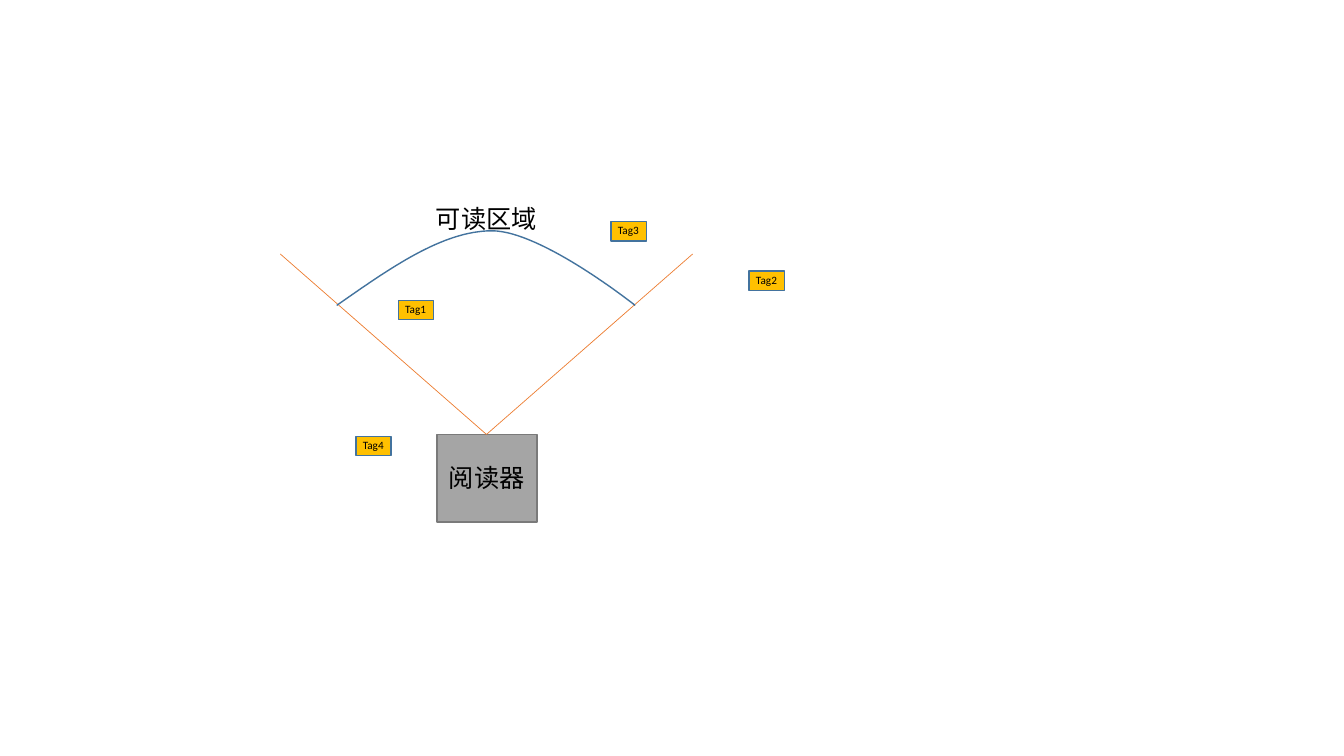
import pptx
import pptx.dml.color
import pptx.enum.shapes
import pptx.enum.text
import pptx.util
from lxml import etree

Inches = pptx.util.Inches
COLOURS = {
    "reader": "A5A5A5", "reader_edge": "7A7A7A", "beam": "ED7D31",
    "outline": "43739E", "tag": "FFC000", "text": "000000",
}
TAGS = {"Tag2": (7.43, 2.69), "Tag4": (3.53, 4.33), "Tag1": (3.95, 2.98), "Tag3": (6.06, 2.2)}


def rgb(name):
    return pptx.dml.color.RGBColor.from_string(COLOURS[name])


def set_line(item, colour, width):
    item.line.color.rgb = rgb(colour)
    item.line.width = pptx.util.Pt(width)


def add_text(group, text, left, top, width, height, size=18, wrap=False):
    label = group.shapes.add_textbox(Inches(left), Inches(top), Inches(width), Inches(height))
    frame = label.text_frame
    frame.word_wrap = wrap
    frame.auto_size = pptx.enum.text.MSO_AUTO_SIZE.SHAPE_TO_FIT_TEXT
    run = frame.paragraphs[0].add_run()
    run.text = text
    run.font.size = pptx.util.Pt(size)
    run.font.name = "Calibri"
    run.font.color.rgb = rgb("text")


def add_box(group, left, top, width, height, fill, edge):
    box = group.shapes.add_shape(
        pptx.enum.shapes.MSO_SHAPE.RECTANGLE,
        Inches(left), Inches(top), Inches(width), Inches(height))
    box.shadow.inherit = False
    box.fill.solid()
    box.fill.fore_color.rgb = rgb(fill)
    set_line(box, edge, 1)


def add_beam(group, start, end):
    beam = group.shapes.add_connector(
        pptx.enum.shapes.MSO_CONNECTOR.STRAIGHT, *(Inches(v) for v in start + end))
    set_line(beam, "beam", 0.5)
    etree.SubElement(beam._element.spPr, pptx.oxml.ns.qn("a:effectLst"))


def bezier(p0, p1, p2, p3, steps=32):
    """Return points along a cubic curve, without its first point."""
    points = []
    for step in range(1, steps + 1):
        t = step / steps
        weights = ((1 - t) ** 3, 3 * t * (1 - t) ** 2, 3 * t ** 2 * (1 - t), t ** 3)
        points.append(tuple(
            Inches(sum(w * v for w, v in zip(weights, axis)))
            for axis in zip(p0, p1, p2, p3)))
    return points


def add_range_arc(group, left, top, width, height):
    start, peak = (left, top + height), (left + 1.54, top)
    end = (left + width, top + height)
    rise = bezier(start, (left + 0.53, top + height / 2), (left + 1.05, top), peak)
    fall = bezier(peak, (left + 2.03, top), end, end)
    builder = group.shapes.build_freeform(Inches(start[0]), Inches(start[1]))
    builder.add_line_segments(rise + fall, close=False)
    arc = builder.convert_to_shape()
    arc.shadow.inherit = False
    arc.fill.background()
    set_line(arc, "outline", 1)


def add_reader_zone(slide, left, top, width, height):
    """Place the reader at the bottom centre, with its beams and readable area above."""
    zone = slide.shapes.add_group_shape()
    centre = left + width / 2
    reader_top = top + 2.34
    add_box(zone, centre - 0.49, reader_top, 0.99, height - 2.34, "reader", "reader_edge")
    add_text(zone, "阅读器", centre - 0.47, reader_top + 0.23, 0.96, 0.4)
    for beam_end in (left, left + width):
        add_beam(zone, (centre, reader_top), (beam_end, top + 0.55))
    add_range_arc(zone, left + 0.56, top + 0.32, 2.96, 0.74)
    add_text(zone, "可读区域", centre - 0.6, top, 1.21, 0.4)


def add_tag(slide, name, left, top):
    tag = slide.shapes.add_group_shape()
    add_box(tag, left, top, 0.35, 0.19, "tag", "outline")
    add_text(tag, name, left - 0.03, top - 0.03, 0.7, 0.24, size=8, wrap=True)


def main():
    deck = pptx.Presentation()
    deck.slide_width, deck.slide_height = Inches(13.33), Inches(7.5)
    slide = deck.slides.add_slide(deck.slide_layouts[6])
    add_reader_zone(slide, 2.78, 1.97, 4.09, 3.21)
    for name, (left, top) in TAGS.items():
        add_tag(slide, name, left, top)
    deck.save("out.pptx")


if __name__ == "__main__":
    main()
